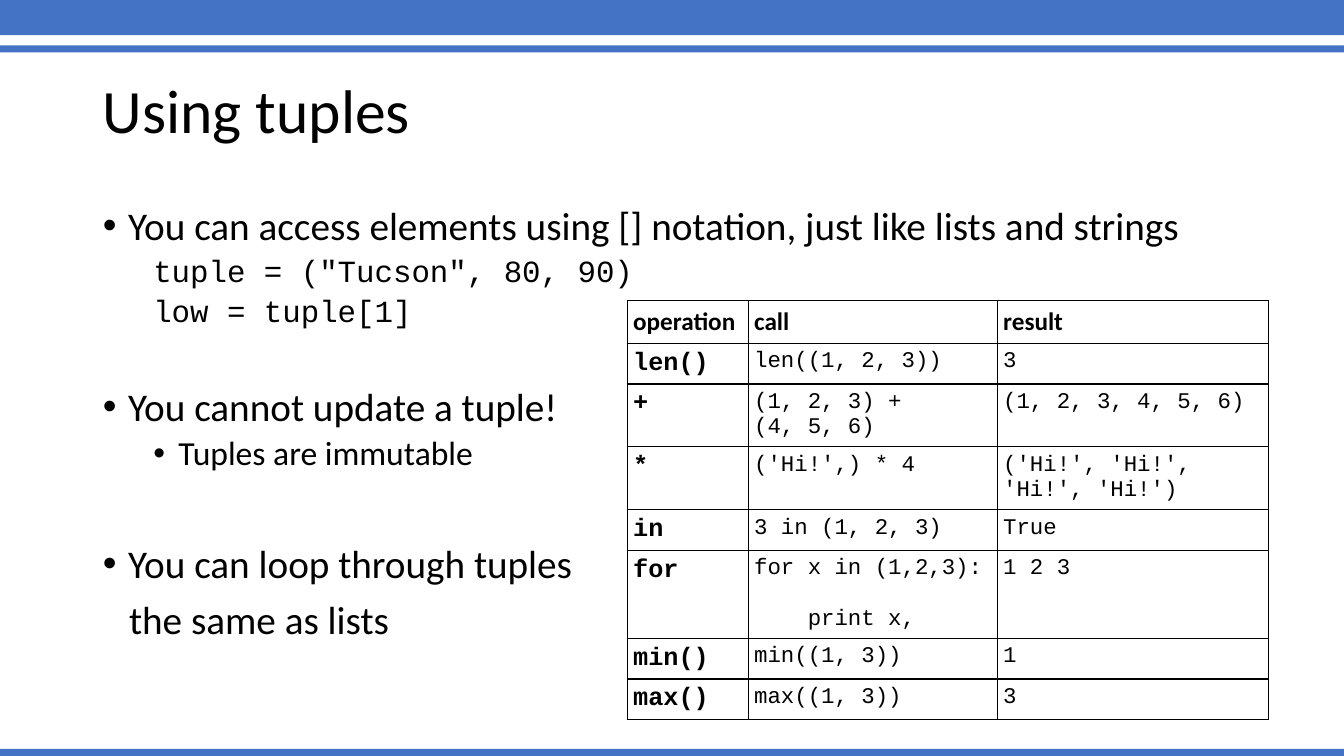
import pptx
import pptx.util
import pptx.dml.color
import pptx.enum.shapes
import pptx.enum.text
import pptx.oxml.ns
from dataclasses import dataclass
from lxml import etree

Inches, Pt = pptx.util.Inches, pptx.util.Pt
qn = pptx.oxml.ns.qn


@dataclass(frozen=True)
class Theme:
    blue: str = "4472C4"
    ink: str = "000000"
    sans: str = "Calibri"
    mono: str = "Courier New"
    title: int = 44
    body: int = 28
    sub: int = 24
    code: int = 22
    head: int = 18
    cell: int = 16


THEME = Theme()
BARS = [(-0.03, 0.38), (0.45, 0.07), (7.43, 0.07)]

# Body text, with the format of each paragraph
POINT = dict(size=THEME.body, left=0.25, hang=-0.25, bullet="•", before=10)
CODE = dict(size=THEME.code, font=THEME.mono, level=1, left=0.5, before=5)
SUB = dict(size=THEME.sub, level=1, left=0.75, hang=-0.25, bullet="•", before=5)
BODY = [
    ("You can access elements using [] notation, just like lists and strings", POINT),
    ('tuple = ("Tucson", 80, 90)', CODE),
    ("low = tuple[1]", CODE),
    ("You cannot update a tuple!", POINT | dict(before=41.4)),
    ("Tuples are immutable", SUB),
    ("You can loop through tuples", POINT | dict(before=50.8)),
    ("the same as lists", dict(size=THEME.body, left=0.26, before=10)),
]

# Table: column widths, row heights, cell text
COLS = [1.2, 2.47, 2.69]
ROWS = [
    (0.42, "operation", "call", "result"),
    (0.4, "len()", "len((1, 2, 3))", "3"),
    (0.61, "+", "(1, 2, 3) +\n(4, 5, 6)", "(1, 2, 3, 4, 5, 6)"),
    (0.61, "*", "('Hi!',) * 4", "('Hi!', 'Hi!', 'Hi!', 'Hi!')"),
    (0.39, "in", "3 in (1, 2, 3)", "True"),
    (0.87, "for", "for x in (1,2,3):\n    print x,", "1 2 3"),
    (0.4, "min()", "min((1, 3))", "1"),
    (0.4, "max()", "max((1, 3))", "3"),
]


def color(code):
    return pptx.dml.color.RGBColor.from_string(code)


def write(frame, text, first=False, size=18, font=THEME.sans, bold=False,
          level=0, left=0, hang=0, bullet=None, before=0, line=0.9):
    """Write one paragraph into a text frame."""
    para = frame.paragraphs[0] if first else frame.add_paragraph()
    para.level = level
    para.alignment = pptx.enum.text.PP_ALIGN.LEFT
    para.line_spacing = line
    para.space_before, para.space_after = Pt(before), Pt(0)
    props = para._p.get_or_add_pPr()
    props.set("marL", str(Inches(left)))
    props.set("indent", str(Inches(hang)))
    if bullet:
        etree.SubElement(props, qn("a:buFont"), typeface="Arial")
        etree.SubElement(props, qn("a:buChar"), char=bullet)
    else:
        etree.SubElement(props, qn("a:buNone"))
    run = para.add_run()
    run.text = text
    run.font.size, run.font.name, run.font.bold = Pt(size), font, bold
    run.font.color.rgb = color(THEME.ink)


def place(shape, left, top, width, height, anchor):
    shape.left, shape.top = Inches(left), Inches(top)
    shape.width, shape.height = Inches(width), Inches(height)
    frame = shape.text_frame
    frame.word_wrap = True
    frame.auto_size = pptx.enum.text.MSO_AUTO_SIZE.NONE
    frame.vertical_anchor = anchor
    return frame


def add_bar(slide, top, height):
    bar = slide.shapes.add_shape(pptx.enum.shapes.MSO_SHAPE.RECTANGLE, 0,
                                 Inches(top), Inches(13.33), Inches(height))
    bar.shadow.inherit = False
    bar.fill.solid()
    bar.fill.fore_color.rgb = color(THEME.blue)
    bar.line.fill.background()


def frame_cell(cell):
    """Give a cell thin borders, even margins and no fill."""
    props = cell._tc.get_or_add_tcPr()
    for side in ("lnL", "lnR", "lnT", "lnB"):
        edge = etree.SubElement(props, qn("a:" + side), w=str(Pt(1)))
        fill = etree.SubElement(edge, qn("a:solidFill"))
        etree.SubElement(fill, qn("a:srgbClr"), val=THEME.ink)
    cell.fill.background()
    cell.margin_left = cell.margin_right = Inches(0.06)
    cell.margin_top = cell.margin_bottom = Inches(0.06)


def add_grid(slide, left, top):
    high = sum(row[0] for row in ROWS)
    table = slide.shapes.add_table(len(ROWS), len(COLS), Inches(left), Inches(top),
                                   Inches(sum(COLS)), Inches(high)).table
    table.first_row = table.horz_banding = False
    for col, width in zip(table.columns, COLS):
        col.width = Inches(width)
    for r, (height, *texts) in enumerate(ROWS):
        table.rows[r].height = Inches(height)
        for c, text in enumerate(texts):
            cell = table.cell(r, c)
            frame_cell(cell)
            bold = r == 0 or c == 0
            for i, part in enumerate(text.split("\n")):
                # An indented code line stands one line lower
                write(cell.text_frame, part, first=i == 0, line=1.0, bold=bold,
                      size=THEME.head if bold else THEME.cell,
                      font=THEME.mono if r else THEME.sans,
                      before=18 if part.startswith(" ") else 0)


def main():
    deck = pptx.Presentation()
    deck.slide_width, deck.slide_height = Inches(13.33), Inches(7.5)
    slide = deck.slides.add_slide(deck.slide_layouts[1])
    anchor = pptx.enum.text.MSO_ANCHOR

    # Bars at the top and bottom
    for top, height in BARS:
        add_bar(slide, top, height)

    # Title and list
    title = place(slide.shapes.title, 0.92, 0.4, 11.5, 1.45, anchor.MIDDLE)
    write(title, "Using tuples", first=True, size=THEME.title)
    body = place(slide.placeholders[1], 0.92, 2, 11.5, 4.76, anchor.TOP)
    for i, (text, form) in enumerate(BODY):
        write(body, text, first=i == 0, **form)

    # Table of operations
    add_grid(slide, 6.22, 2.98)
    deck.save("out.pptx")


if __name__ == "__main__":
    main()
